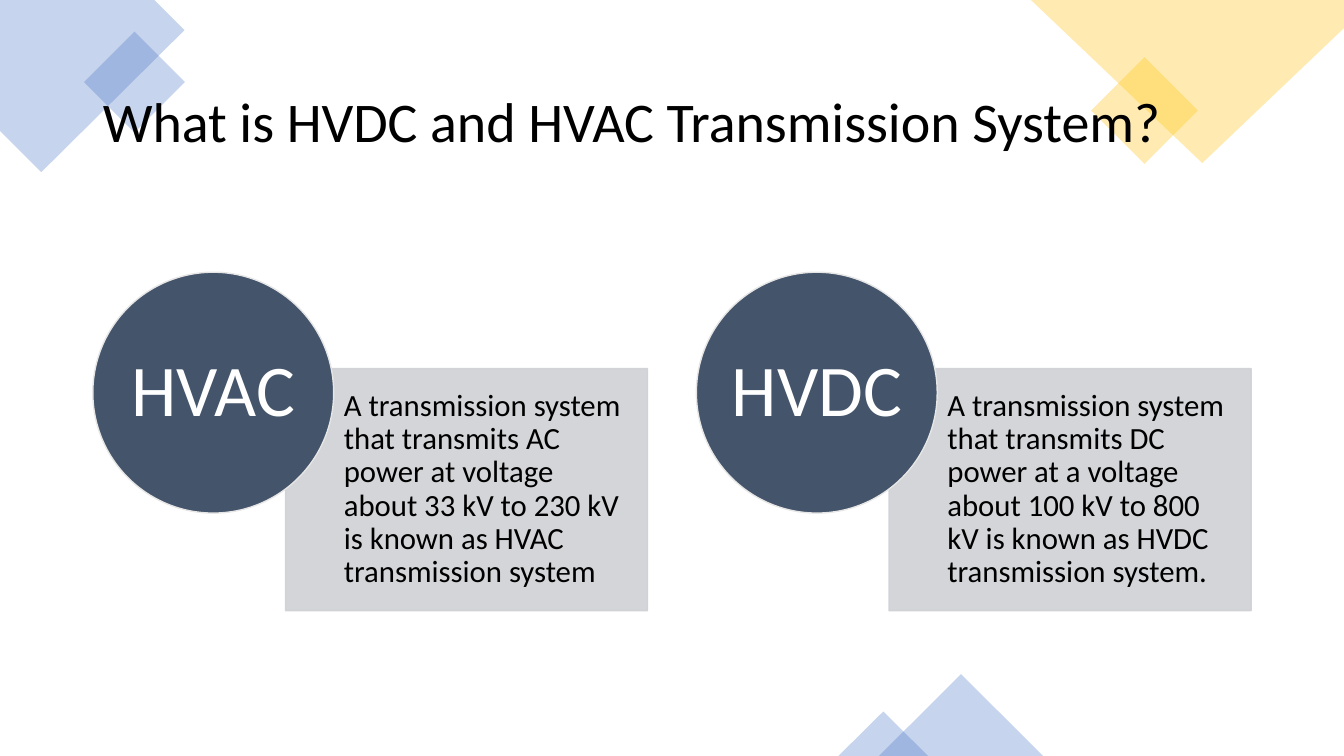
from pptx import Presentation
from pptx.dml.color import RGBColor
from pptx.enum.shapes import MSO_SHAPE
from pptx.enum.text import MSO_ANCHOR, PP_ALIGN
from pptx.oxml.ns import qn
from pptx.util import Cm, Pt
from lxml import etree

DIAMOND, TRIANGLE = MSO_SHAPE.DIAMOND, MSO_SHAPE.ISOSCELES_TRIANGLE
RECT, OVAL = MSO_SHAPE.RECTANGLE, MSO_SHAPE.OVAL
MIDDLE = MSO_ANCHOR.MIDDLE
LEFT, CENTER = PP_ALIGN.LEFT, PP_ALIGN.CENTER

COLORS = {
    "blue": "4472C4", "gold": "FFC000", "slate": "44546A", "rim": "E7E6E6",
    "panel": "CFD1D4", "black": "000000", "white": "FFFFFF",
}
FONT = "Calibri"
SLIDE_W, SLIDE_H = 33.87, 19.05

CORNERS = [
    ("blue", [(0, 0), (3.89, 0), (4.65, 0.76), (1.04, 4.34), (0, 3.3)]),
    ("gold", [(25.98, 0), (SLIDE_W, 0), (SLIDE_W, 0.71), (30.3, 4.11)]),
]
ACCENTS = [
    (DIAMOND, "blue", (2.12, 0.8, 2.54, 2.54)),
    (DIAMOND, "gold", (27.5, 1.44, 2.69, 2.69)),
    (TRIANGLE, "blue", (22.15, 16.99, 4.14, 2.06)),
    (TRIANGLE, "blue", (21.13, 17.93, 2.26, 1.12)),
]
CARDS = [
    ("HVAC", "A transmission system that transmits AC power at voltage about "
             "33 kV to 230 kV is known as HVAC transmission system"),
    ("HVDC", "A transmission system that transmits DC power at a voltage about "
             "100 kV to 800 kV is known as HVDC transmission system."),
]


def rgb(name):
    return RGBColor.from_string(COLORS[name])


def paint(sp, fill, line=None, opacity=100):
    sp.shadow.inherit = False
    sp.fill.solid()
    sp.fill.fore_color.rgb = rgb(fill)
    if line:
        sp.line.color.rgb = rgb(line)
        sp.line.width = Pt(1)
    else:
        sp.line.fill.background()
    if opacity < 100:
        for clr in sp.element.spPr.iter(qn("a:srgbClr")):
            etree.SubElement(clr, qn("a:alpha"), val=str(opacity * 1000))


def write(sp, text, size, color, align, margins):
    """Fill the shape with one paragraph; margins are left, top, right, bottom in cm."""
    tf = sp.text_frame
    tf.text = text
    sides = ("margin_left", "margin_top", "margin_right", "margin_bottom")
    frame = dict(zip(sides, map(Cm, margins)), word_wrap=True, vertical_anchor=MIDDLE)
    p = tf.paragraphs[0]
    font = p.runs[0].font
    font.color.rgb = rgb(color)
    for target, values in (
        (tf, frame),
        (p, {"alignment": align, "line_spacing": 0.9}),
        (font, {"name": FONT, "size": Pt(size)}),
    ):
        for key, value in values.items():
            setattr(target, key, value)


def add_decor(s):
    for color, points in CORNERS:
        start, *rest = [(Cm(x), Cm(y)) for x, y in points]
        builder = s.shapes.build_freeform(*start)
        builder.add_line_segments(rest, close=True)
        paint(builder.convert_to_shape(), color, opacity=30)
    for kind, color, box in ACCENTS:
        paint(s.shapes.add_shape(kind, *map(Cm, box)), color, opacity=30)


def add_title(s, text, x, y, w, h):
    title = s.shapes.title
    title.left, title.top, title.width, title.height = map(Cm, (x, y, w, h))
    write(title, text, 40, "black", LEFT, (0.25, 0.13, 0.25, 0.13))
    title.element.getparent().append(title.element)  # bring in front of the decor


def add_card(s, label, text, x, y, w, h):
    """Panel in the lower right of the box, overlapped by a circle at its top left."""
    circle_d = 6.07
    dx, dy = 0.8 * circle_d, 0.4 * circle_d
    panel = s.shapes.add_shape(RECT, Cm(x + dx), Cm(y + dy), Cm(w - dx), Cm(h - dy))
    paint(panel, "panel", "panel", 90)
    write(panel, text, 22, "black", LEFT, (1.47, 0.43, 0.41, 0.43))
    circle = s.shapes.add_shape(OVAL, Cm(x), Cm(y), Cm(circle_d), Cm(circle_d))
    paint(circle, "slate", "rim")
    write(circle, label, 52, "white", CENTER, (0, 0, 0, 0))


def main():
    prs = Presentation()
    prs.slide_width, prs.slide_height = Cm(SLIDE_W), Cm(SLIDE_H)
    s = prs.slides.add_slide(prs.slide_layouts[5])
    add_decor(s)
    add_title(s, "What is HVDC and HVAC Transmission System?", 2.34, 1.55, 29.21, 3.15)
    for i, (label, text) in enumerate(CARDS):
        add_card(s, label, text, 2.34 + i * 15.21, 6.86, 13.98, 8.53)
    prs.save("out.pptx")


if __name__ == "__main__":
    main()
